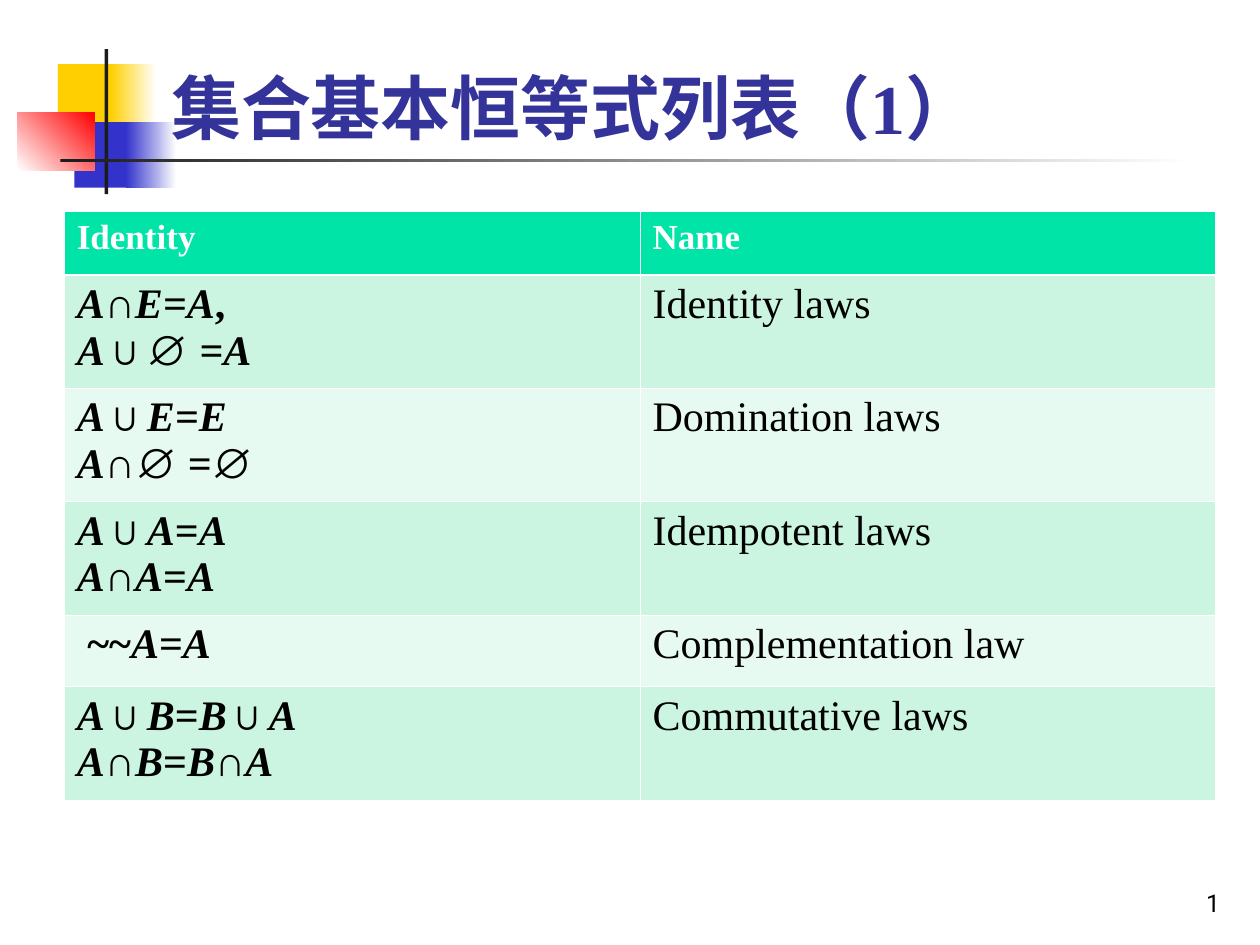
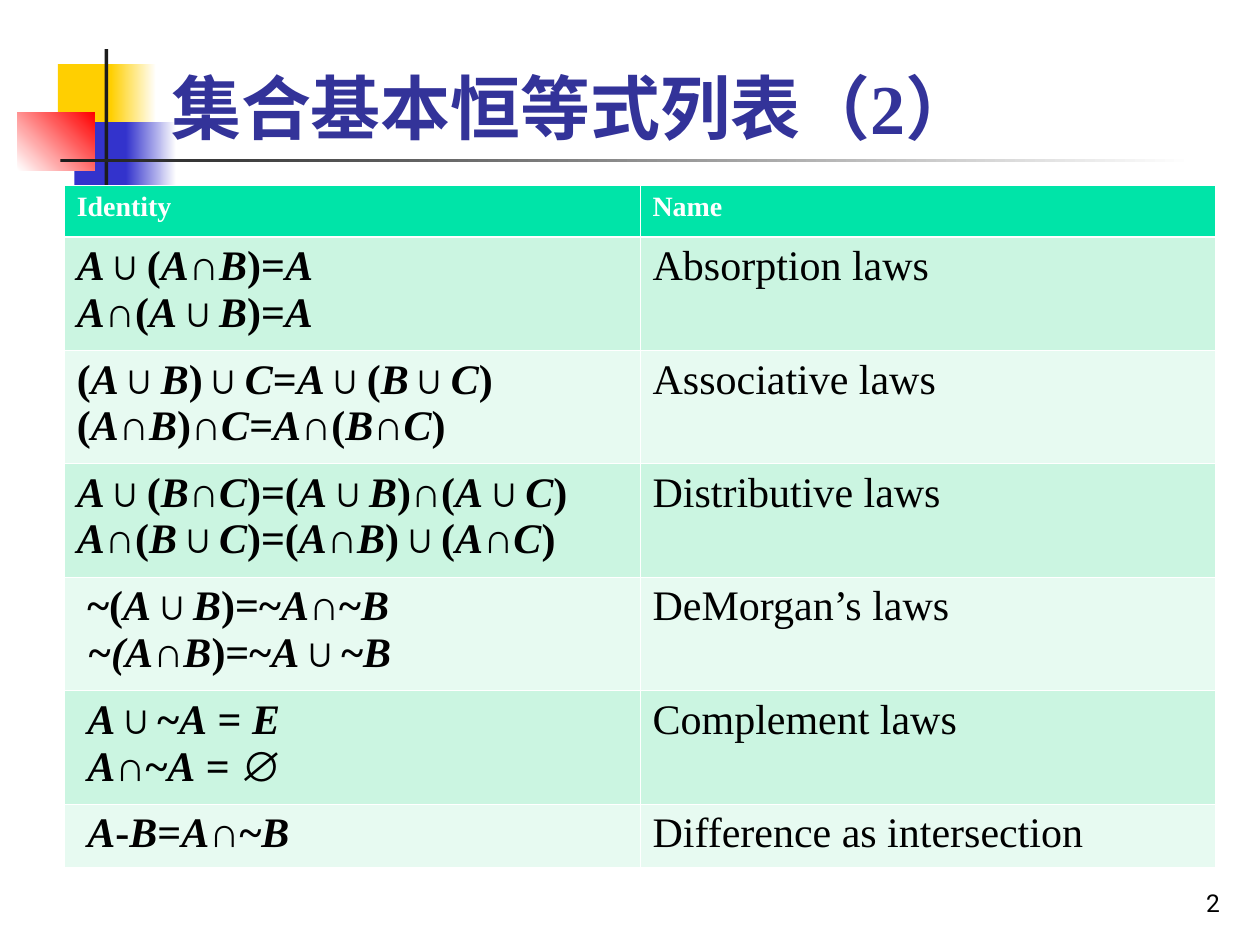
from itertools import groupby

from lxml.etree import SubElement
from pptx import Presentation
from pptx.dml.color import RGBColor
from pptx.enum.shapes import MSO_SHAPE as Shape
from pptx.enum.text import MSO_ANCHOR as Anchor, PP_ALIGN as Align
from pptx.oxml.ns import qn
from pptx.util import Inches, Pt

SERIF, SYMBOL_FONT, NUMBER_FONT = "Times New Roman", "Arial", "Roboto"
WHITE, BLACK, INK = "FFFFFF", "000000", "1C1C1C"
YELLOW, BLUE, RED, TITLE_BLUE = "FFCF01", "3333CC", "FF0000", "333399"
HEADER_GREEN, BANDS = "00E4A8", ("CBF5E1", "E7FAF1")
THIN, THICK = 0.45, 1.47
EMPTY_SET = "∅"

# Underscores enclose stretches that are italic throughout.
LAWS_1 = [
    ("A∩E=A", "Identity laws"),
]


def color(value):
    return RGBColor.from_string(value)


def add_span(para, text, size, font=SERIF, ink=BLACK, bold=False, italic=False):
    span = para.add_run()
    span.text = text
    span.font.size = Pt(size)
    span.font.name = font
    span.font.bold = bold
    span.font.italic = italic
    span.font.color.rgb = color(ink)


def add_text(page, text, left, top, width, height, align=Align.LEFT, **style):
    box = page.shapes.add_textbox(*map(Inches, (left, top, width, height)))
    frame = box.text_frame
    frame.word_wrap = True
    frame.vertical_anchor = Anchor.BOTTOM
    para = frame.paragraphs[0]
    para.alignment = align
    add_span(para, text, **style)


def add_block(page, left, top, width, height, start, end=None, angle=0):
    block = page.shapes.add_shape(
        Shape.RECTANGLE, *map(Inches, (left, top, width, height)))
    block.shadow.inherit = False
    block.line.fill.background()
    if end is None:
        block.fill.solid()
        block.fill.fore_color.rgb = color(start)
        return
    block.fill.gradient()
    block.fill.gradient_angle = angle
    for stop, value in zip(block.fill.gradient_stops, (start, end)):
        stop.color.rgb = color(value)


def add_emblem(page):
    add_block(page, 0.46, 0.51, 0.48, 0.52, YELLOW)
    add_block(page, 0.88, 0.51, 0.36, 0.52, YELLOW, WHITE)
    add_block(page, 0.59, 0.97, 0.46, 0.52, BLUE)
    add_block(page, 1, 0.97, 0.4, 0.52, BLUE, WHITE)
    add_block(page, 0.14, 0.89, 0.61, 0.46, WHITE, RED, angle=45)
    add_block(page, 0.83, 0.39, 0.03, 1.15, INK)
    add_block(page, 0.48, 1.26, 9, 0.03, INK, WHITE)


def format_cell(cell, fill, top=THIN, bottom=THIN):
    properties = cell._tc.get_or_add_tcPr()
    for side, width in zip("LRTB", (THIN, THIN, top, bottom)):
        line = SubElement(properties, qn(f"a:ln{side}"), w=str(Pt(width)))
        solid = SubElement(line, qn("a:solidFill"))
        SubElement(solid, qn("a:srgbClr"), val=WHITE)
    cell.fill.solid()
    cell.fill.fore_color.rgb = color(fill)


def add_formula(para, formula):
    for index, part in enumerate(formula.split("_")):
        if index % 2:
            add_span(para, part, 24, bold=True, italic=True)
            continue
        for (italic, symbol), letters in groupby(
                part, lambda letter: (letter.isalpha(), letter == EMPTY_SET)):
            add_span(para, "".join(letters), 24, bold=True, italic=italic,
                     font=SYMBOL_FONT if symbol else SERIF)


def add_law_table(page, top, heights, header_size, laws):
    table = page.shapes.add_table(
        len(heights), 2, Inches(0.51), Inches(top),
        Inches(9.13), Inches(sum(heights))).table
    for column in table.columns:
        column.width = Inches(4.57)
    for row, height in zip(table.rows, heights):
        row.height = Inches(height)
    for cell, heading in zip(table.rows[0].cells, ("Identity", "Name")):
        format_cell(cell, HEADER_GREEN, bottom=THICK)
        add_span(cell.text_frame.paragraphs[0], heading, header_size,
                 ink=WHITE, bold=True)
    for index, (formulas, name) in enumerate(laws):
        identity, label = table.rows[index + 1].cells
        for cell in (identity, label):
            format_cell(cell, BANDS[index % 2], top=THIN if index else THICK)
        frame = identity.text_frame
        for position, formula in enumerate(formulas):
            para = frame.add_paragraph() if position else frame.paragraphs[0]
            add_formula(para, formula)
        add_span(label.text_frame.paragraphs[0], name, 24)


def add_page(deck, number, **table):
    page = deck.slides.add_slide(deck.slide_layouts[6])
    add_emblem(page)
    add_text(page, f"集合基本恒等式列表（{number}）", 1.26, 0.39, 8.52, 0.84,
             size=40, ink=TITLE_BLUE, bold=True)
    add_law_table(page, **table)
    add_text(page, str(number), 7.7, 6.83, 2.08, 0.5, align=Align.RIGHT,
             size=14, font=NUMBER_FONT)


def main():
    deck = Presentation()
    deck.slide_width, deck.slide_height = Inches(10), Inches(7.5)
    add_page(deck, 1, top=1.68, header_size=20,
             heights=[0.5, 0.9, 0.9, 0.9, 0.57, 0.9], laws=[
                 (["_A∩E=A_,", "A∪∅ _=A_"], "Identity laws"),
                 (["A∪_E=E_", "_A∩_∅ _=_∅"], "Domination laws"),
                 (["A∪A=A", "A∩A=A"], "Idempotent laws"),
                 ([" ~~A=A"], "Complementation law"),
                 (["A∪B=B∪A", "A∩B=B∩A"], "Commutative laws"),
             ])
    add_page(deck, 2, top=1.47, header_size=16,
             heights=[0.41] + [0.9] * 5 + [0.5], laws=[
                 (["A∪(A∩B)=A", "A∩(A∪B)=A"], "Absorption laws"),
                 (["(A∪B)∪C=A∪(B∪C)", "(A∩B)∩C=A∩(B∩C)"],
                  "Associative laws"),
                 (["A∪(B∩C)=(A∪B)∩(A∪C)", "A∩(B∪C)=(A∩B)∪(A∩C)"],
                  "Distributive laws"),
                 ([" ~(A∪B)=~A∩~B", "_ ~(A_∩B)=~A∪~B"], "DeMorgan’s laws"),
                 ([" A∪~A = E", " A∩~A = ∅"], "Complement laws"),
                 ([" A-B=A∩~B"], "Difference as intersection"),
             ])
    deck.save("out.pptx")


if __name__ == "__main__":
    main()
